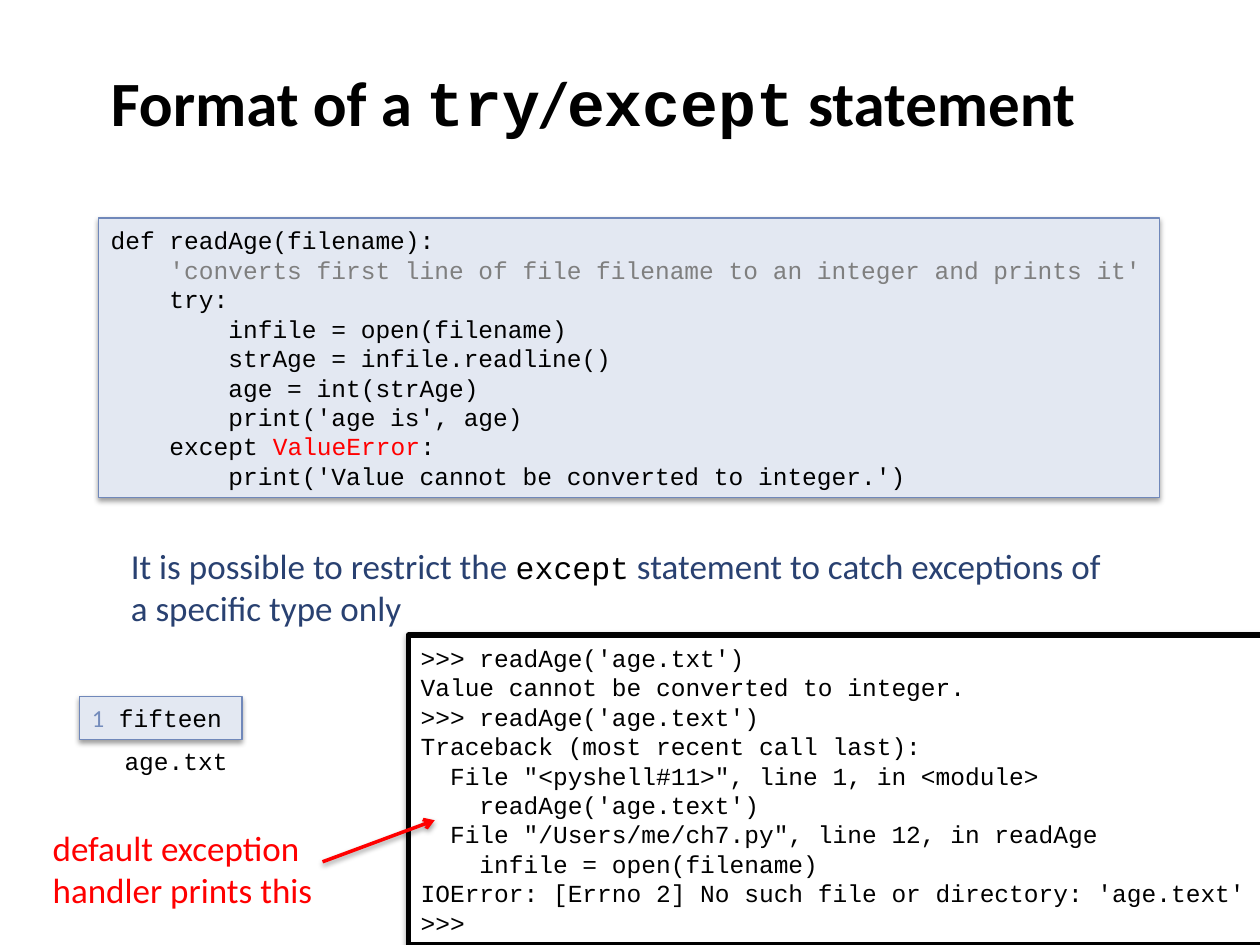
from lxml.etree import SubElement
from pptx import Presentation
from pptx.dml.color import RGBColor
from pptx.enum.shapes import MSO_CONNECTOR, MSO_SHAPE
from pptx.enum.text import MSO_ANCHOR, MSO_AUTO_SIZE, PP_ALIGN
from pptx.oxml.ns import qn
from pptx.util import Inches, Pt

BLACK = RGBColor(0x00, 0x00, 0x00)
WHITE = RGBColor(0xFF, 0xFF, 0xFF)
RED = RGBColor(0xFF, 0x00, 0x00)
GRAY = RGBColor(0x7F, 0x7F, 0x7F)
NAVY = RGBColor(0x29, 0x41, 0x71)
PALE_BLUE = RGBColor(0xE3, 0xE8, 0xF2)
EDGE_BLUE = RGBColor(0x70, 0x88, 0xBA)
NUMBER_BLUE = RGBColor(0x74, 0x8C, 0xBC)

# Text styles: font, size, colour, bold
TITLE = ("Calibri", 36, BLACK, True)
TITLE_CODE = ("Courier New", 36, BLACK, True)
BODY = ("Calibri", 20, NAVY, False)
BODY_CODE = ("Courier New", 18, BLACK, False)
CALLOUT = ("Calibri", 20, RED, False)
CODE = ("Courier New", 14, BLACK, False)
DOCSTRING = ("Courier New", 14, GRAY, False)
ERROR = ("Courier New", 14, RED, False)
LINE_NUMBER = ("Calibri", 14, NUMBER_BLUE, False)

# Content: each paragraph is a list of (text, style) spans
title_lines = [[("Format of a ", TITLE), ("try", TITLE_CODE), ("/", TITLE),
                ("except", TITLE_CODE), (" statement", TITLE)]]
explanation = [
    [("It is possible to restrict the ", BODY), ("except", BODY_CODE),
     (" statement to catch exceptions of", BODY)],
    [("a specific type only", BODY)],
]
function_code = [
    [("def readAge(filename):", CODE)],
    [("    'converts first line of file filename to an integer and prints it'", DOCSTRING)],
    [("    try:", CODE)],
    [("        infile = open(filename)", CODE)],
    [("        strAge = infile.readline()", CODE)],
    [("        age = int(strAge)", CODE)],
    [("        print('age is', age)", CODE)],
    [("    except ", CODE), ("ValueError", ERROR), (":", CODE)],
    [("        print('Value cannot be converted to integer.')", CODE)],
]
file_content = [[("1", LINE_NUMBER), (" fifteen", CODE)]]
file_name = [[("age.txt", CODE)]]
shell_session = [[(line, CODE)] for line in (
    ">>> readAge('age.txt')",
    "Value cannot be converted to integer.",
    ">>> readAge('age.text')",
    "Traceback (most recent call last):",
    "  File \"<pyshell#11>\", line 1, in <module>",
    "    readAge('age.text')",
    "  File \"/Users/me/ch7.py\", line 12, in readAge",
    "    infile = open(filename)",
    "IOError: [Errno 2] No such file or directory: 'age.text'",
    ">>>",
)]
callout = [[("default exception handler prints this", CALLOUT)]]


def fill_text(frame, lines, wrap=True, auto_size=MSO_AUTO_SIZE.SHAPE_TO_FIT_TEXT):
    frame.word_wrap = wrap
    frame.auto_size = auto_size
    frame.vertical_anchor = MSO_ANCHOR.MIDDLE
    for index, spans in enumerate(lines):
        para = frame.add_paragraph() if index else frame.paragraphs[0]
        para.alignment = PP_ALIGN.LEFT
        for text, (font, size, color, bold) in spans:
            span = para.add_run()
            span.text = text
            span.font.name = font
            span.font.size = Pt(size)
            span.font.color.rgb = color
            span.font.bold = bold


def add_shadow(shape):
    effects = SubElement(shape._element.spPr, qn("a:effectLst"))
    shadow = SubElement(effects, qn("a:outerShdw"), blurRad=str(Pt(3.1)),
                        dist=str(Pt(1.6)), dir="5400000", rotWithShape="0")
    color = SubElement(shadow, qn("a:srgbClr"), val="000000")
    SubElement(color, qn("a:alpha"), val="38000")


def add_label(page, place, lines, wrap=True):
    box = page.shapes.add_textbox(*map(Inches, place))
    fill_text(box.text_frame, lines, wrap)


def add_panel(page, place, lines, fill=PALE_BLUE, edge=EDGE_BLUE, width=0.75):
    panel = page.shapes.add_shape(MSO_SHAPE.RECTANGLE, *map(Inches, place))
    panel.fill.solid()
    panel.fill.fore_color.rgb = fill
    panel.line.color.rgb = edge
    panel.line.width = Pt(width)
    add_shadow(panel)
    fill_text(panel.text_frame, lines)


def add_arrow(page, start, end):
    arrow = page.shapes.add_connector(MSO_CONNECTOR.STRAIGHT, *map(Inches, start + end))
    arrow.line.color.rgb = RED
    arrow.line.width = Pt(2)
    SubElement(arrow.line._get_or_add_ln(), qn("a:tailEnd"), type="arrow")
    add_shadow(arrow)


def main():
    deck = Presentation()
    deck.slide_width, deck.slide_height = Inches(10), Inches(7.5)
    page = deck.slides.add_slide(deck.slide_layouts[5])

    # Title
    title = page.shapes.title
    title.left, title.top, title.width, title.height = map(Inches, (0.78, 0, 9.24, 1.61))
    fill_text(title.text_frame, title_lines, auto_size=MSO_AUTO_SIZE.NONE)

    # Function and its explanation
    add_label(page, (0.94, 4.27, 7.97, 0.77), explanation, wrap=False)
    add_panel(page, (0.78, 1.73, 8.42, 2.22), function_code)

    # Input file
    add_panel(page, (0.63, 5.53, 1.29, 0.34), file_content)
    add_label(page, (0.89, 5.87, 1.03, 0.34), file_name, wrap=False)

    # Shell session with its callout
    add_panel(page, (3.24, 5.04, 6.78, 2.46), shell_session, WHITE, BLACK, 3)
    add_label(page, (0.32, 6.51, 2.53, 0.77), callout)
    add_arrow(page, (2.56, 6.84), (3.45, 6.51))

    deck.save("out.pptx")


if __name__ == "__main__":
    main()
